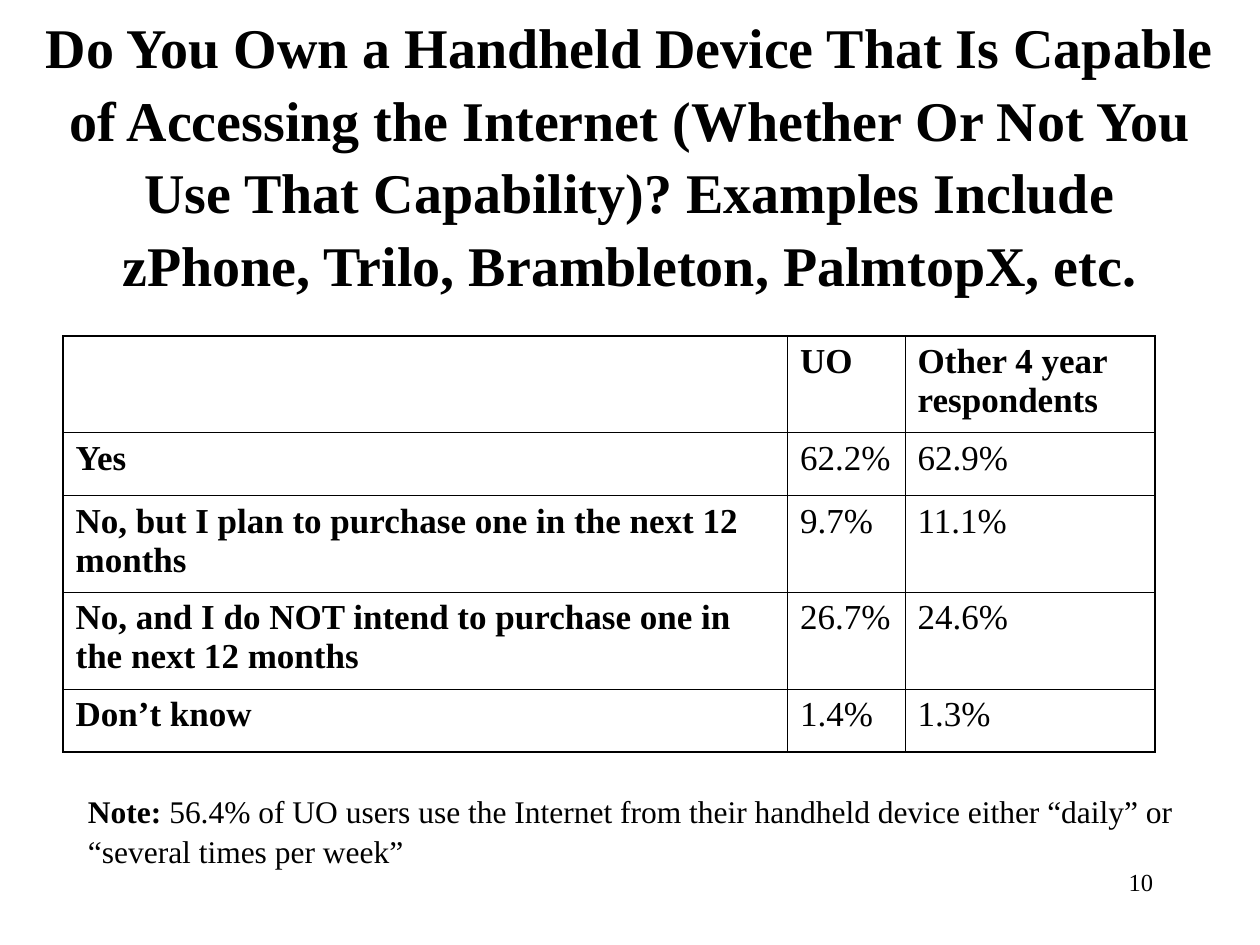
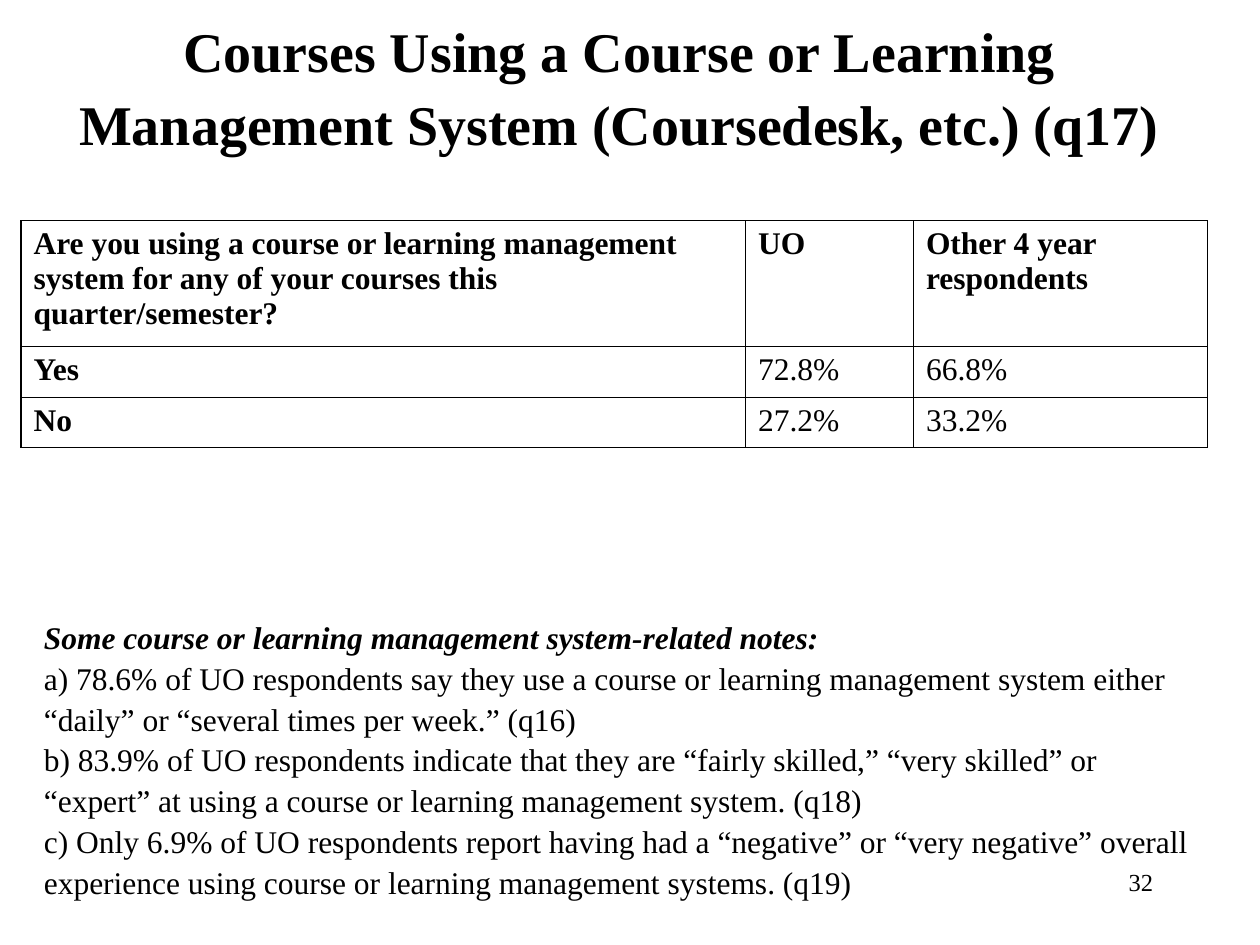
from lxml import etree
from pptx import Presentation
from pptx import util as u
from pptx.dml.color import RGBColor
from pptx.enum import text
from pptx.oxml import ns

PX = 7620
BLACK = RGBColor(0x00, 0x00, 0x00)
FONT = "Times New Roman"
THIN, THICK = 0.45, 1.08
TITLE_ONLY = 5
NUMBER_BOX = (860, 820, 250, 60)


def px(*values):
    return [u.Emu(v * PX) for v in values]


def write(p, content, size, **formats):
    values = {"name": FONT, "size": u.Pt(size), "bold": False, **formats}
    r = p.add_run()
    r.text = content
    for key, value in values.items():
        setattr(r.font, key, value)
    r.font.color.rgb = BLACK


def add_title(s, box, lines):
    sp = s.shapes.title
    sp.left, sp.top, sp.width, sp.height = px(*box)
    tf = sp.text_frame
    tf.word_wrap = True
    tf.auto_size = text.MSO_AUTO_SIZE.NONE
    tf.vertical_anchor = text.MSO_ANCHOR.MIDDLE
    p = tf.paragraphs[0]
    p.alignment = text.PP_ALIGN.CENTER
    p.line_spacing = 1.08
    for i, line in enumerate(lines):
        if i:
            p.add_line_break()
        write(p, line, 32, bold=True)


def add_text(s, box, paragraphs, size=18, spacing=1.0, align=text.PP_ALIGN.LEFT):
    tf = s.shapes.add_textbox(*px(*box)).text_frame
    tf.word_wrap = True
    for i, runs in enumerate(paragraphs):
        p = tf.add_paragraph() if i else tf.paragraphs[0]
        p.alignment = align
        p.line_spacing = spacing
        for content, formats in runs:
            write(p, content, size, **formats)


def draw_borders(cell, thick_sides):
    tcPr = cell._tc.get_or_add_tcPr()
    for side in "LRTB":
        width = THICK if side in thick_sides else THIN
        ln = etree.SubElement(tcPr, ns.qn("a:ln" + side), w=str(u.Pt(width)))
        fill = etree.SubElement(ln, ns.qn("a:solidFill"))
        etree.SubElement(fill, ns.qn("a:srgbClr"), val=str(BLACK))


def add_answers(s, corner, widths, heights, rows, size, thick_frame):
    table = s.shapes.add_table(
        len(heights), len(widths), *px(*corner, sum(widths), sum(heights))
    ).table
    table.first_row = table.horz_banding = False
    for column, width in zip(table.columns, px(*widths)):
        column.width = width
    for row, height in zip(table.rows, px(*heights)):
        row.height = height
    for i, answers in enumerate(rows):
        for j, content in enumerate(answers):
            cell = table.cell(i, j)
            edges = {"L": j == 0, "R": j == len(widths) - 1,
                     "T": i == 0, "B": i == len(heights) - 1}
            draw_borders(cell, [e for e in thick_frame if edges[e]])
            cell.fill.background()
            if content:
                write(cell.text_frame.paragraphs[0], content, size, bold=i == 0 or j == 0)


def add_slide(prs, number, title_box, title_lines):
    s = prs.slides.add_slide(prs.slide_layouts[TITLE_ONLY])
    add_title(s, title_box, title_lines)
    add_text(s, NUMBER_BOX, [[(number, {})]], 14, align=text.PP_ALIGN.RIGHT)
    return s


def handheld_slide(prs):
    s = add_slide(prs, "10", (20, 20, 1160, 250), [
        "Do You Own a Handheld Device That Is Capable of Accessing the Internet "
        "(Whether Or Not You Use That Capability)? Examples Include",
        "zPhone, Trilo, Brambleton, PalmtopX, etc.",
    ])
    add_answers(s, (60, 320), (690, 112, 238), (92, 60, 92, 92, 60), [
        ("", "UO", "Other 4 year respondents"),
        ("Yes", "62.2%", "62.9%"),
        ("No, but I plan to purchase one in the next 12 months", "9.7%", "11.1%"),
        ("No, and I do NOT intend to purchase one in the next 12 months", "26.7%", "24.6%"),
        ("Don’t know", "1.4%", "1.3%"),
    ], 20, "LRTB")
    add_text(s, (72, 746, 1066, 84), [
        [("Note:", {"bold": True}),
         (" 56.4% of UO users use the Internet from their handheld device either “daily” or", {})],
        [("“several times per week”", {})],
    ], spacing=1.06)


def course_slide(prs):
    s = add_slide(prs, "32", (20, 20, 1140, 120), [
        "Courses Using a Course or Learning Management System (Coursedesk, etc.) (q17)",
    ])
    add_answers(s, (20, 210), (690, 160, 280), (120, 48, 48), [
        ("Are you using a course or learning management system for any of your courses "
         "this quarter/semester?", "UO", "Other 4 year respondents"),
        ("Yes", "72.8%", "66.8%"),
        ("No", "27.2%", "33.2%"),
    ], 18, "LRB")
    notes = [
        "a) 78.6% of UO respondents say they use a course or learning management system "
        "either “daily” or “several times per week.” (q16)",
        "b) 83.9% of UO respondents indicate that they are “fairly skilled,” “very skilled” "
        "or “expert” at using a course or learning management system. (q18)",
        "c) Only 6.9% of UO respondents report having had a “negative” or “very negative” "
        "overall experience using course or learning management systems. (q19)",
    ]
    heading = ("Some course or learning management system-related notes:",
               {"bold": True, "italic": True})
    add_text(s, (30, 580, 1130, 264), [[heading]] + [[(note, {})] for note in notes],
             spacing=1.08)


def main():
    prs = Presentation()
    prs.slide_width, prs.slide_height = px(1200, 900)
    handheld_slide(prs)
    course_slide(prs)
    prs.save("out.pptx")


if __name__ == "__main__":
    main()
